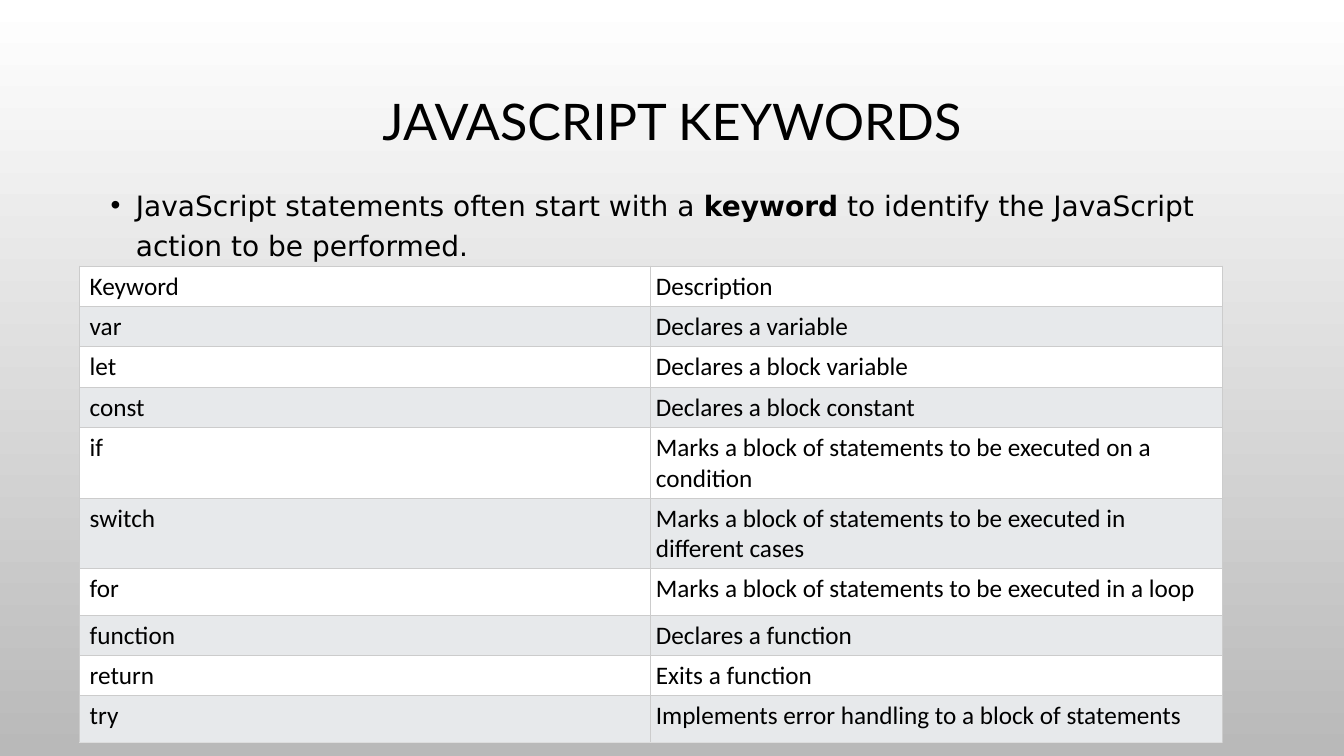
from dataclasses import dataclass

import pptx
import pptx.dml.color
import pptx.enum.text
import pptx.oxml
import pptx.oxml.ns
import pptx.slide
import pptx.table
import pptx.text.text
import pptx.util

RGBColor = pptx.dml.color.RGBColor
BLACK = RGBColor(0x00, 0x00, 0x00)
WHITE = RGBColor(0xFF, 0xFF, 0xFF)
BACKDROP_GREY = RGBColor(0xB9, 0xB9, 0xB9)
BAND_GREY = RGBColor(0xE7, 0xE9, 0xEB)
BORDER_GREY = RGBColor(0xCC, 0xCC, 0xCC)
LAST_BORDER_GREY = RGBColor(0xDD, 0xDD, 0xDD)

SLIDE_WIDTH = pptx.util.Inches(13.33)
SLIDE_HEIGHT = pptx.util.Inches(7.5)
COLUMNS, ROWS = 40, 30
CELL_INSET = pptx.util.Inches(0.05)
KEYWORD_INSET = pptx.util.Inches(0.1)


@dataclass(frozen=True)
class Area:
    """A region in grid columns and rows."""
    left: float
    top: float
    width: float
    height: float

    def box(self) -> tuple[int, int, int, int]:
        return across(self.left), down(self.top), across(self.width), down(self.height)


@dataclass(frozen=True)
class Entry:
    keyword: str
    description: str
    height: float = 1.48


TITLE_AREA = Area(3, 2.72, 34, 7)
INTRO_AREA = Area(3, 7, 34, 18.32)
TABLE_AREA = Area(2.37, 10.56, 34, 17.76)

ENTRIES = [
    Entry("Keyword", "Description"),
    Entry("var", "Declares a variable"),
    Entry("let", "Declares a block variable"),
    Entry("const", "Declares a block constant"),
    Entry("if", "Marks a block of statements to be executed on a condition", 2.6),
    Entry("switch", "Marks a block of statements to be executed in different cases", 2.6),
    Entry("for", "Marks a block of statements to be executed in a loop", 1.84),
    Entry("function", "Declares a function"),
    Entry("return", "Exits a function"),
    Entry("try", "Implements error handling to a block of statements", 1.84),
]


def across(columns: float) -> int:
    return round(SLIDE_WIDTH * columns / COLUMNS)


def down(rows: float) -> int:
    return round(SLIDE_HEIGHT * rows / ROWS)


def add_run(paragraph: pptx.text.text._Paragraph, text: str, font: str,
            size: float, bold: bool = False) -> None:
    run = paragraph.add_run()
    run.text = text
    run.font.name = font
    run.font.size = pptx.util.Pt(size)
    run.font.bold = bold
    run.font.color.rgb = BLACK


def paint_background(slide: pptx.slide.Slide) -> None:
    fill = slide.background.fill
    fill.gradient()
    fill.gradient_angle = 270
    for stop, color in zip(fill.gradient_stops, (WHITE, BACKDROP_GREY)):
        stop.color.rgb = color


def add_title(slide: pptx.slide.Slide) -> None:
    title = slide.shapes.title
    title.left, title.top, title.width, title.height = TITLE_AREA.box()
    frame = title.text_frame
    frame.vertical_anchor = pptx.enum.text.MSO_ANCHOR.MIDDLE
    frame.margin_bottom = pptx.util.Inches(0.7)
    heading = frame.paragraphs[0]
    heading.alignment = pptx.enum.text.PP_ALIGN.CENTER
    heading.line_spacing = 0.9
    add_run(heading, "JAVASCRIPT KEYWORDS", "Lato", 36)


def add_intro(slide: pptx.slide.Slide) -> None:
    frame = slide.shapes.add_textbox(*INTRO_AREA.box()).text_frame
    frame.word_wrap = True
    intro = frame.paragraphs[0]
    intro.line_spacing = 1.2
    intro.space_before = pptx.util.Pt(10)
    for text, bold in (("JavaScript statements often start with a ", False),
                       ("keyword", True),
                       (" to identify the JavaScript action to be performed.", False)):
        add_run(intro, text, "DejaVu Sans", 20, bold)

    # Hanging bullet
    properties = intro._p.get_or_add_pPr()
    indent = pptx.util.Inches(0.25)
    properties.set("marL", str(indent))
    properties.set("indent", str(-indent))
    namespace = pptx.oxml.ns.nsdecls("a")
    for bullet_xml in (f'<a:buClr {namespace}><a:srgbClr val="{BLACK}"/></a:buClr>',
                       f'<a:buFont {namespace} typeface="Arial"/>',
                       f'<a:buChar {namespace} char="•"/>'):
        properties.append(pptx.oxml.parse_xml(bullet_xml))


def set_borders(cell: pptx.table._Cell, bottom: RGBColor) -> None:
    properties = cell._tc.get_or_add_tcPr()
    sides = {"L": BORDER_GREY, "R": BORDER_GREY, "T": BORDER_GREY, "B": bottom}
    for position, (side, color) in enumerate(sides.items()):
        properties.insert(position, pptx.oxml.parse_xml(
            f'<a:ln{side} {pptx.oxml.ns.nsdecls("a")} w="{pptx.util.Pt(0.75)}">'
            f'<a:solidFill><a:srgbClr val="{color}"/></a:solidFill></a:ln{side}>'))


def add_keyword_table(slide: pptx.slide.Slide) -> None:
    keywords = slide.shapes.add_table(len(ENTRIES), 2, *TABLE_AREA.box()).table
    keywords.first_row = False
    keywords.horz_banding = False
    for index, entry in enumerate(ENTRIES):
        keywords.rows[index].height = down(entry.height)
        bottom = LAST_BORDER_GREY if entry is ENTRIES[-1] else BORDER_GREY
        for column, text in enumerate((entry.keyword, entry.description)):
            cell = keywords.cell(index, column)
            cell.margin_left = CELL_INSET if column else KEYWORD_INSET
            cell.margin_top = cell.margin_right = cell.margin_bottom = CELL_INSET
            cell.fill.solid()
            cell.fill.fore_color.rgb = BAND_GREY if index % 2 else WHITE
            set_borders(cell, bottom)
            add_run(cell.text_frame.paragraphs[0], text, "Calibri", 18)


def main() -> None:
    deck = pptx.Presentation()
    deck.slide_width, deck.slide_height = SLIDE_WIDTH, SLIDE_HEIGHT
    slide = deck.slides.add_slide(deck.slide_layouts[5])
    paint_background(slide)
    add_title(slide)
    add_intro(slide)
    add_keyword_table(slide)
    deck.save("out.pptx")


if __name__ == "__main__":
    main()
